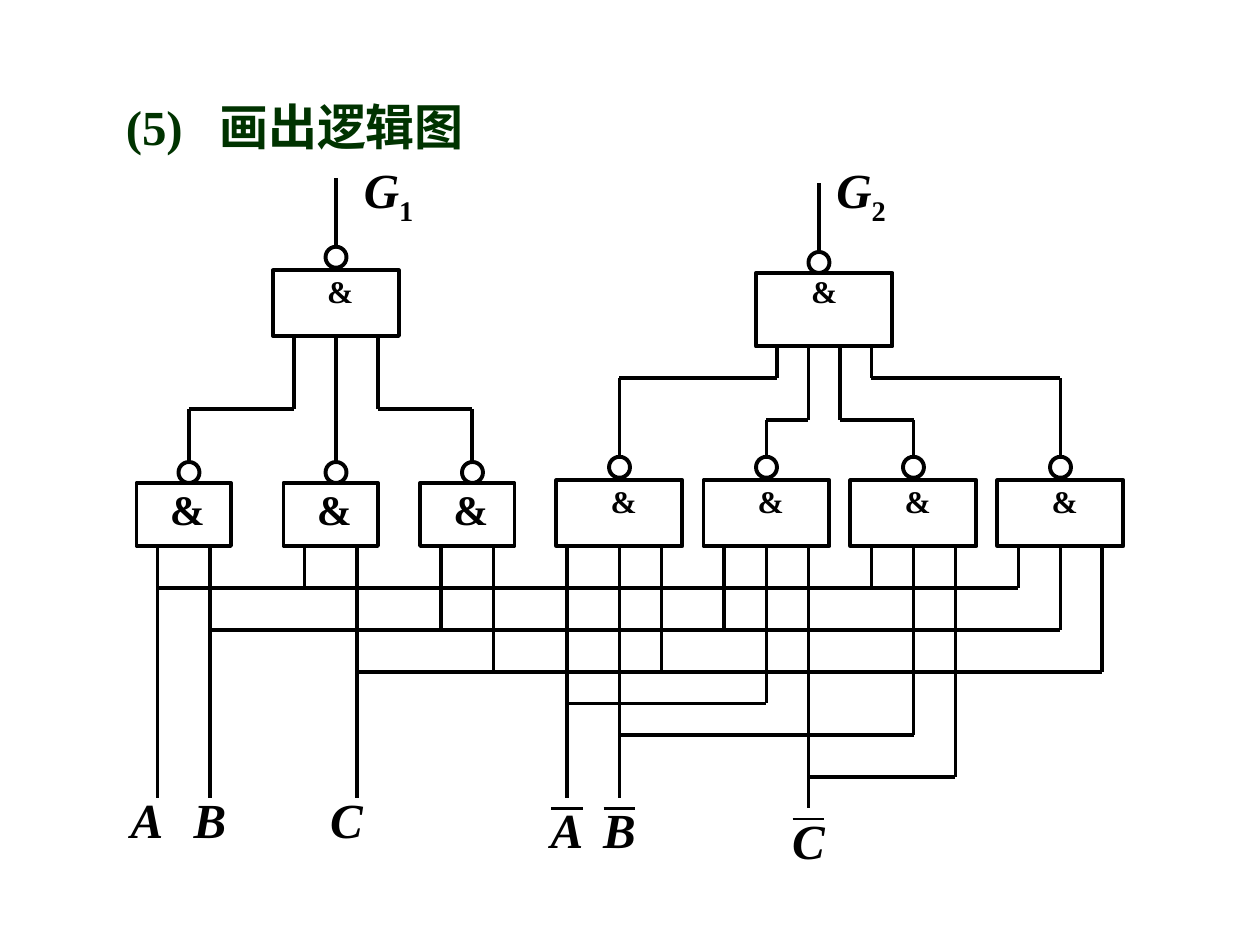
"""Builds a slide with the NAND logic diagram of G1 and G2."""
from lxml import etree
from pptx import Presentation
from pptx.dml.color import RGBColor
from pptx.enum.shapes import MSO_CONNECTOR as Connector, MSO_SHAPE as Shape
from pptx.enum.text import MSO_AUTO_SIZE as AutoSize, PP_ALIGN as Align
from pptx.oxml.ns import qn
from pptx.util import Cm, Pt

BLACK = RGBColor(0x00, 0x00, 0x00)
GREEN = RGBColor(0x00, 0x33, 0x00)
STEP = 25.4 / 120
GATE_BOTTOM = 52


def grid(steps):
    return Cm(steps * STEP)


class LogicSlide:
    font_name = "Times New Roman"
    wire_width = 2.25
    bar_width = 1.5

    def __init__(self, presentation):
        self.slide = presentation.slides.add_slide(presentation.slide_layouts[6])

    def text(self, content, left, top, width, height, size=28, color=BLACK,
             italic=False, align=Align.CENTER, wrap=True, tab=None, subscript=None):
        box = self.slide.shapes.add_textbox(*map(grid, (left, top, width, height)))
        text_frame = box.text_frame
        text_frame.word_wrap = wrap
        text_frame.auto_size = AutoSize.SHAPE_TO_FIT_TEXT
        text_frame.text = content
        paragraph = text_frame.paragraphs[0]
        paragraph.alignment = align
        paragraph.line_spacing = 1.1
        if tab:
            tab_list = etree.SubElement(paragraph._p.get_or_add_pPr(), qn("a:tabLst"))
            etree.SubElement(tab_list, qn("a:tab"), pos=str(grid(tab)), algn="l")
        if subscript:
            paragraph.add_run().text = subscript
        for run in paragraph.runs:
            run.font.name = self.font_name
            run.font.size = Pt(size)
            run.font.bold = True
            run.font.italic = italic
            run.font.color.rgb = color
        if subscript:
            run.font.italic = False
            run._r.get_or_add_rPr().set("baseline", "-25000")

    def line(self, start, end, width):
        connector = self.slide.shapes.add_connector(
            Connector.STRAIGHT, *map(grid, (*start, *end)))
        connector.line.color.rgb = BLACK
        connector.line.width = Pt(width)
        etree.SubElement(connector._element.spPr, qn("a:effectLst"))

    def wire(self, *points):
        for start, end in zip(points, points[1:]):
            self.line(start, end, self.wire_width)

    def outline(self, kind, left, top, width, height):
        shape = self.slide.shapes.add_shape(kind, *map(grid, (left, top, width, height)))
        shape.shadow.inherit = False
        shape.fill.background()
        shape.line.color.rgb = BLACK
        shape.line.width = Pt(self.wire_width)

    def gate(self, left, top, width, height, bubble_x, bubble_top, label_x, label_top, large=False):
        self.outline(Shape.RECTANGLE, left, top, width, height)
        self.outline(Shape.OVAL, bubble_x - 1, bubble_top, 2, 2)
        self.text("&", label_x - 2.5, label_top, 5, 6.5 if large else 5,
                  size=24 if large else 18, wrap=large)

    def variable(self, name, left, top, negated=False):
        self.text(name, left, top, 6, 7.3, italic=True)
        if negated:
            self.line((left + 1.5, top + 2), (left + 4.5, top + 2), self.bar_width)

    def bus(self, start, y, taps):
        self.wire((start, y), (taps[-1], y))
        for tap in taps:
            self.wire((tap, GATE_BOTTOM), (tap, y))


def main():
    presentation = Presentation()
    presentation.slide_width = Cm(25.4)
    presentation.slide_height = Cm(19.05)
    diagram = LogicSlide(presentation)

    diagram.text("(5)\t画出逻辑图", 10.8, 8, 55.2, 7.3, color=GREEN, align=Align.LEFT, tab=8.9)

    for name, left, top, negated in (
            ("A", 11, 74, False), ("B", 17, 74, False), ("C", 30, 74, False),
            ("A", 51, 75, True), ("B", 56, 75, True), ("C", 74, 76, True)):
        diagram.variable(name, left, top, negated)
    for index, left in (("1", 32), ("2", 77)):
        diagram.text("G", left, 14, 10, 7.3, italic=True, subscript=index)

    for left, bubble_x in ((13, 18), (27, 32), (40, 45)):
        diagram.gate(left, 46, 9, 6, bubble_x, 44, left + 4.5, 45, large=True)
    for left in range(53, 96, 14):
        diagram.gate(left, 45.75, 12, 6.25, left + 6, 43.5, left + 6.4, 45)
    diagram.gate(26, 25.75, 12, 6.25, 32, 23.5, 32.4, 25)
    diagram.gate(72, 26, 13, 7, 78, 24, 78.5, 25)

    diagram.wire((32, 23.5), (32, 17))
    diagram.wire((78, 24), (78, 17.4))
    diagram.wire((32, 44), (32, 32))
    for lower_x, lower_y, bend_y, upper_x, upper_y in (
            (18, 44, 39, 28, 32), (45, 44, 39, 36, 32),
            (59, 43.5, 36, 74, 33), (73, 43.5, 40, 77, 33),
            (87, 43.5, 40, 80, 33), (101, 43.5, 36, 83, 33)):
        diagram.wire((lower_x, lower_y), (lower_x, bend_y), (upper_x, bend_y), (upper_x, upper_y))

    for x, bottom, bus_y, taps in (
            (15, 76, 56, (29, 83, 97)), (20, 76, 60, (42, 69, 101)),
            (34, 76, 64, (47, 63, 105)), (54, 76, 67, (73,)),
            (59, 76, 70, (87,)), (77, 77, 74, (91,))):
        diagram.wire((x, GATE_BOTTOM), (x, bottom))
        diagram.bus(x, bus_y, taps)

    presentation.save("out.pptx")


if __name__ == "__main__":
    main()
